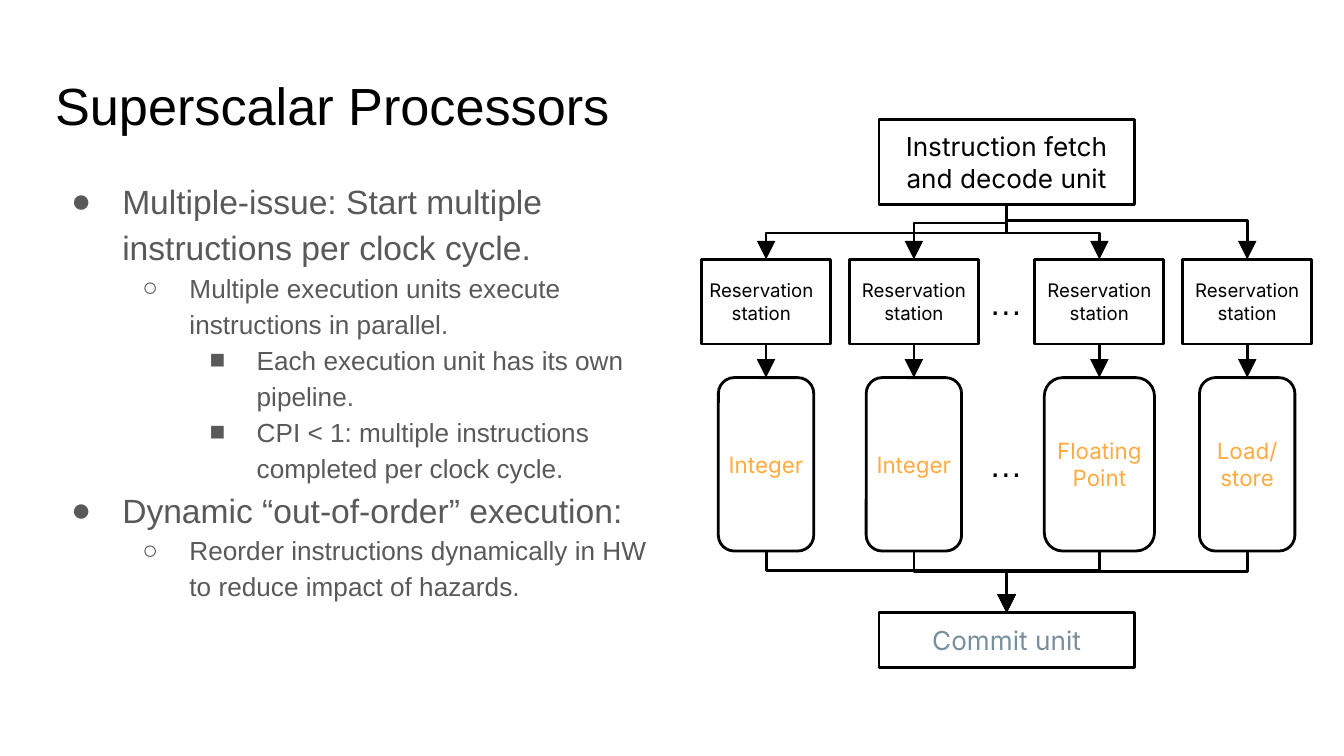
from pptx import Presentation
from pptx import util as u
from pptx.dml.color import RGBColor
from pptx.enum import shapes, text
from pptx.oxml.ns import qn
from lxml import etree

COLORS = {"ink": "000000", "body": "595959", "unit": "FFAB40",
          "commit": "78909C", "paper": "FFFFFF"}
POINTS = [
    (0, "Multiple-issue: Start multiple instructions per clock cycle."),
    (1, "Multiple execution units execute instructions in parallel."),
    (2, "Each execution unit has its own pipeline."),
    (2, "CPI < 1: multiple instructions completed per clock cycle."),
    (0, "Dynamic “out-of-order” execution:"),
    (1, "Reorder instructions dynamically in HW to reduce impact of hazards."),
]
LEVELS = [("●", 18, 0.38), ("○", 14, 0.35), ("■", 14, 0.35)]
# Per lane: centre, execution unit, unit width, station inset, unit inset, fetch bend, commit bend
LANES = [
    (0.48, "Integer", 0.71, 0, 0, 0.52, 0.31),
    (1.58, "Integer", 0.71, 0.07, 0, 0.34, 0.33),
    (2.96, "Floating Point", 0.82, 0.07, 0, 0.52, 0.31),
    (4.06, "Load/\vstore", 0.71, 0.07, 0.07, 0.3, 0.33),
]


def style(paragraph, size, color, face="Arial"):
    """Set the font of a whole paragraph."""
    paragraph.font.size = u.Pt(size)
    paragraph.font.name = face
    paragraph.font.color.rgb = RGBColor.from_string(COLORS[color])


def set_frame(frame, left=0.07, right=0.07):
    """Set wrapping and insets of a text frame."""
    frame.word_wrap = True
    frame.auto_size = text.MSO_AUTO_SIZE.NONE
    frame.margin_left, frame.margin_right = u.Inches(left), u.Inches(right)
    frame.margin_top = frame.margin_bottom = u.Inches(0.04)


def add_title(slide, left, top, width, height):
    """Place and format the slide title."""
    title = slide.shapes.title
    title.left, title.top = u.Inches(left), u.Inches(top)
    title.width, title.height = u.Inches(width), u.Inches(height)
    title.text = "Superscalar Processors"
    set_frame(title.text_frame)
    title.text_frame.vertical_anchor = text.MSO_ANCHOR.MIDDLE
    heading = title.text_frame.paragraphs[0]
    heading.alignment = text.PP_ALIGN.LEFT
    heading.line_spacing = 0.9
    style(heading, 28, "ink")


def add_points(slide, left, top, width, height):
    """Write the bulleted outline into its box."""
    outline = slide.shapes.add_textbox(*map(u.Inches, (left, top, width, height))).text_frame
    set_frame(outline)
    for number, (level, words) in enumerate(POINTS):
        point = outline.add_paragraph() if number else outline.paragraphs[0]
        bullet, size, hanging = LEVELS[level]
        point.text = words
        point.level = level
        properties = point._p.get_or_add_pPr()
        properties.set("marL", str(u.Inches(0.5 * (level + 1))))
        properties.set("indent", str(-u.Inches(hanging)))
        bullet_color = etree.SubElement(properties, qn("a:buClr"))
        etree.SubElement(bullet_color, qn("a:srgbClr"), val=COLORS["body"])
        etree.SubElement(properties, qn("a:buFont"), typeface="Arial")
        etree.SubElement(properties, qn("a:buChar"), char=bullet)
        point.line_spacing = 1.15
        style(point, size, "body")


def add_block(slide, center, top, width, height, words, size, color="ink",
              left_inset=0.07, right_inset=0.07, rounded=False):
    """Draw an outlined, labelled block centred on a vertical axis."""
    preset = shapes.MSO_SHAPE.ROUNDED_RECTANGLE if rounded else shapes.MSO_SHAPE.RECTANGLE
    block = slide.shapes.add_shape(
        preset, *map(u.Inches, (center - width / 2, top, width, height)))
    block.shadow.inherit = False
    block.fill.background()
    block.line.color.rgb = RGBColor.from_string(COLORS["ink"])
    block.line.width = u.Pt(1.5)
    set_frame(block.text_frame, left_inset, right_inset)
    block.text_frame.vertical_anchor = text.MSO_ANCHOR.MIDDLE
    label = block.text_frame.paragraphs[0]
    label.text = words
    label.alignment = text.PP_ALIGN.CENTER
    style(label, size, color, "Inter")
    return block


def add_arrow(slide, x1, y1, x2, y2, bend=None):
    """Draw a downward arrow, straight or with a sideways bend at a share of its height."""
    kind = shapes.MSO_CONNECTOR.STRAIGHT if bend is None else shapes.MSO_CONNECTOR.ELBOW
    arrow = slide.shapes.add_connector(kind, *map(u.Inches, (x1, y1, x2, y2)))
    arrow.line.color.rgb = RGBColor.from_string(COLORS["ink"])
    arrow.line.width = u.Pt(1.5)
    properties = arrow._element.spPr
    etree.SubElement(arrow.line._get_or_add_ln(), qn("a:tailEnd"),
                     type="triangle", w="lg", len="lg")
    etree.SubElement(properties, qn("a:effectLst"))
    if bend is not None:
        drop, shift = y2 - y1, abs(x2 - x1)
        arrow.left = u.Inches((x1 + x2 - drop) / 2)
        arrow.top = u.Inches((y1 + y2 - shift) / 2)
        arrow.width, arrow.height = u.Inches(drop), u.Inches(shift)
        turn = properties.find(qn("a:xfrm"))
        turn.set("rot", str((270 if x2 > x1 else 90) * 60000))
        turn.set("flipH", "1" if x2 > x1 else "0")
        guides = properties.find(qn("a:prstGeom")).get_or_add_avLst()
        etree.SubElement(guides, qn("a:gd"), name="adj1", fmla=f"val {round(bend * 100000)}")
    return arrow


def add_pipeline(slide, left, top, width, height):
    """Draw the fetch, reservation, execution and commit stages inside a box."""
    middle = left + width / 2
    fetch_bottom, station_top, station_bottom = top + 0.63, top + 1.04, top + 1.67
    unit_top, unit_bottom, commit_top = top + 1.92, top + 3.21, top + height - 0.41
    add_block(slide, middle, top, 1.9, 0.63, "Instruction fetch and decode unit", 14)
    add_block(slide, middle, commit_top, 1.9, 0.41, "Commit unit", 14, "commit")
    for offset, name, unit_width, station_inset, unit_inset, fetch_bend, commit_bend in LANES:
        lane = left + offset
        station = add_block(slide, lane, station_top, 0.96, 0.63, "Reservation station", 10,
                            left_inset=station_inset)
        unit = add_block(slide, lane, unit_top, unit_width, 1.29, name, 12, "unit",
                         unit_inset, unit_inset, rounded=True)
        issue = add_arrow(slide, lane, station_bottom, lane, unit_top)
        issue.begin_connect(station, 2)
        issue.end_connect(unit, 0)
        add_arrow(slide, middle, fetch_bottom, lane, station_top, fetch_bend)
        add_arrow(slide, lane, unit_bottom, middle, commit_top, commit_bend)
    for gap_top in (top + 1.17, top + 2.37):
        gap = slide.shapes.add_textbox(*map(u.Inches, (middle - 0.2, gap_top, 0.4, 0.38)))
        set_frame(gap.text_frame)
        ellipsis = gap.text_frame.paragraphs[0]
        ellipsis.text = "…"
        style(ellipsis, 18, "ink")


def main():
    """Build and save the slide."""
    deck = Presentation()
    deck.slide_width, deck.slide_height = u.Inches(10), u.Inches(10 * 9 / 16)
    slide = deck.slides.add_slide(deck.slide_layouts[5])
    slide.background.fill.solid()
    slide.background.fill.fore_color.rgb = RGBColor.from_string(COLORS["paper"])
    add_title(slide, 0.34, 0.49, 9.32, 0.63)
    add_points(slide, 0.34, 1.26, 4.66, 3.74)
    add_pipeline(slide, 5.22, 0.89, 4.54, 4.08)
    deck.save("out.pptx")


if __name__ == "__main__":
    main()
